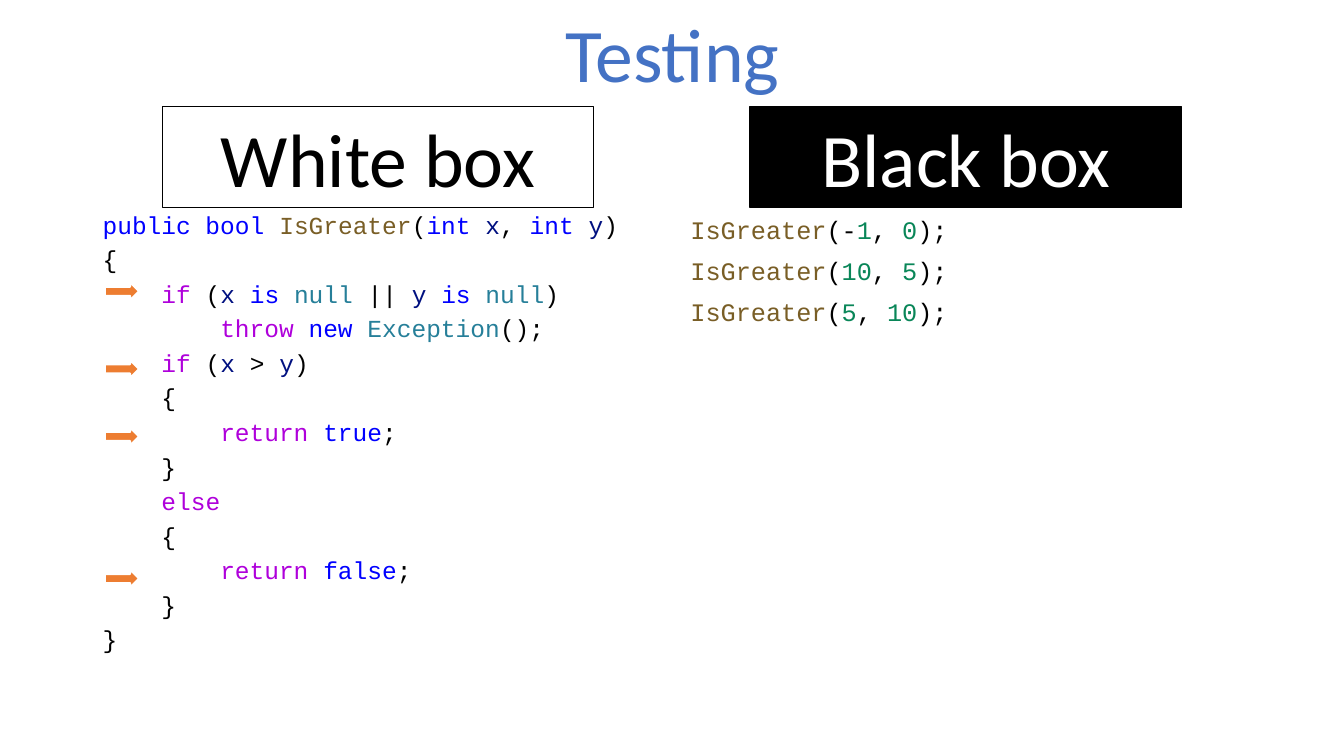
"""Build a slide that sets white box testing beside black box testing."""
from pptx import Presentation
from pptx.dml.color import RGBColor
from pptx.enum.shapes import MSO_SHAPE
from pptx.enum.text import MSO_ANCHOR, PP_ALIGN
from pptx.util import Inches, Pt

RECT, ARROW = MSO_SHAPE.RECTANGLE, MSO_SHAPE.RIGHT_ARROW
TOP, MIDDLE = MSO_ANCHOR.TOP, MSO_ANCHOR.MIDDLE
LEFT, CENTER = PP_ALIGN.LEFT, PP_ALIGN.CENTER

COLORS = {
    "black": "000000", "white": "FFFFFF", "title": "4472C4", "arrow": "ED7D31",
    "key": "0000FF", "flow": "AF00DB", "call": "795E26", "name": "001080",
    "type": "267F99", "number": "098658",
}
WORDS = {
    "key": "public bool int is new true false",
    "flow": "if throw return else",
    "call": "IsGreater",
    "name": "x y",
    "type": "null Exception",
    "number": "-1 0 1 5 10",
}
HUES = {word: kind for kind, words in WORDS.items() for word in words.split()}

WHITE_CODE = [
    (0, "public ~bool ~IsGreater~(~int ~x~, ~int ~y~)"),
    (0, "{"),
    (1, "if~ (~x ~is ~null~ || ~y ~is ~null~)"),
    (2, "throw ~new ~Exception~();"),
    (1, "if~ (~x~ > ~y~)"),
    (1, "{"),
    (2, "return ~true~;"),
    (1, "}"),
    (1, "else"),
    (1, "{"),
    (2, "return ~false~;"),
    (1, "}"),
    (0, "}"),
]
BLACK_CODE = [
    (0, "IsGreater~(-~1~, ~0~);"),
    (0, "IsGreater~(~10~, ~5~);"),
    (0, "IsGreater~(~5~, ~10~);"),
]


def rgb(name):
    return RGBColor.from_string(COLORS[name])


def write(frame, lines, size, font="Calibri", color=None, align=CENTER,
          anchor=MIDDLE, leading=None, before=0):
    """Fill a frame with (indent, text) lines; without a color, hue each token."""
    frame.word_wrap = True
    frame.vertical_anchor = anchor
    for row, (level, text) in enumerate(lines):
        para = frame.paragraphs[0] if row == 0 else frame.add_paragraph()
        para.alignment = align
        para.line_spacing = leading
        para.space_before = Pt(before)
        props = para._p.get_or_add_pPr()
        props.set("marL", str(Pt(level * 4 * 0.6 * size)))
        props.set("indent", "0")
        for piece in text.split("~"):
            run = para.add_run()
            run.text = piece
            run.font.name = font
            run.font.size = Pt(size)
            run.font.color.rgb = rgb(color or HUES.get(piece.strip(), "black"))


deck = Presentation()
deck.slide_width, deck.slide_height = Inches(13.33), Inches(7.5)
slide = deck.slides.add_slide(deck.slide_layouts[6])
shapes = slide.shapes

title = shapes.add_textbox(Inches(4.53), Inches(0.02), Inches(4.28), Inches(1))
write(title.text_frame, [(0, "Testing")], 54, color="title")

for left, text, fill, ink, code, size, leading in [
    (0.92, "White box", "white", "black", WHITE_CODE, 17.5, 0.7),
    (6.75, "Black box", "black", "white", BLACK_CODE, 18, 0.9),
]:
    box = shapes.add_shape(RECT, Inches(left + 0.69), Inches(1.06), Inches(4.28), Inches(1))
    box.shadow.inherit = False
    box.fill.solid()
    box.fill.fore_color.rgb = rgb(fill)
    box.line.color.rgb = rgb("black")
    box.line.width = Pt(1)
    write(box.text_frame, [(0, text)], 54, color=ink)

    body = shapes.add_textbox(Inches(left), Inches(2.11), Inches(5.67), Inches(4.65))
    write(body.text_frame, code, size, font="Courier New", align=LEFT,
          anchor=TOP, leading=leading, before=10)

for top in (2.8, 3.57, 4.24, 5.65):
    arrow = shapes.add_shape(ARROW, Inches(1.04), Inches(top), Inches(0.34), Inches(0.18))
    arrow.shadow.inherit = False
    arrow.fill.solid()
    arrow.fill.fore_color.rgb = rgb("arrow")
    arrow.line.color.rgb = rgb("white")
    arrow.line.width = Pt(1.5)

deck.save("out.pptx")
